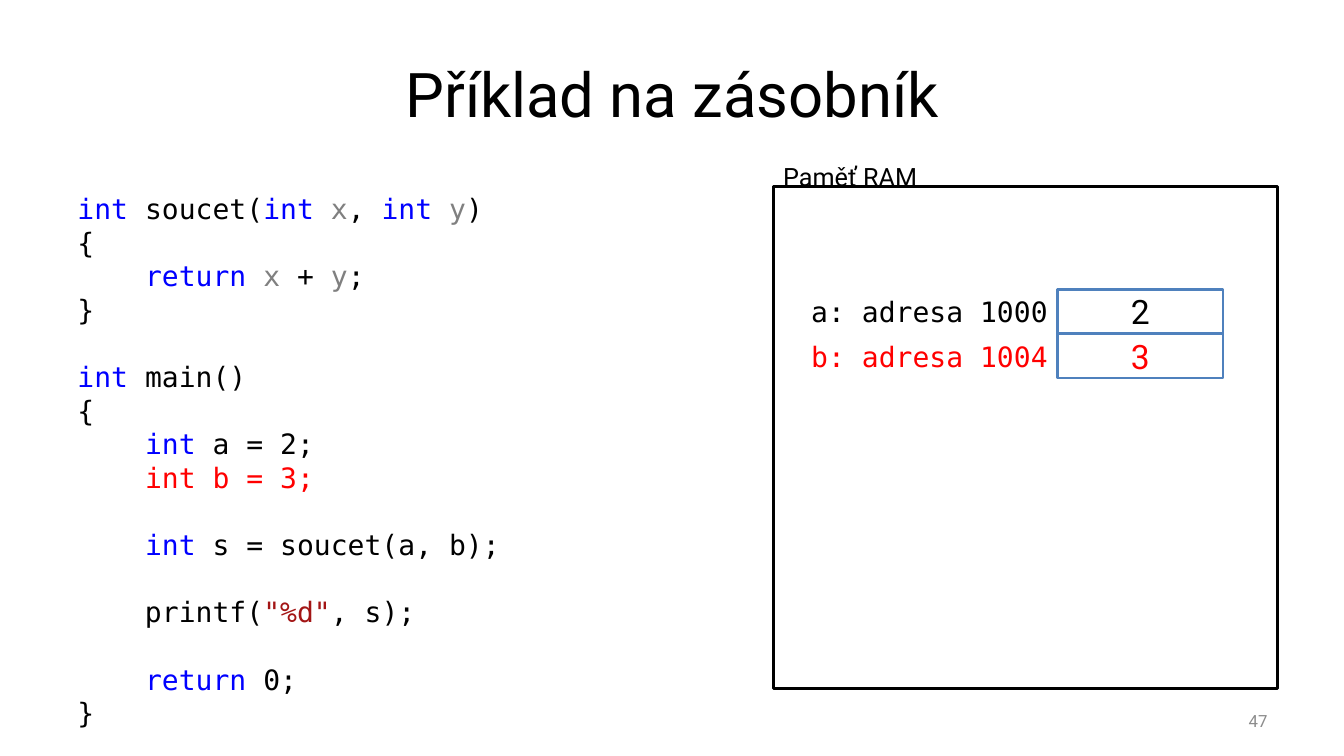
from dataclasses import dataclass

from pptx import Presentation
from pptx.dml.color import RGBColor
from pptx.enum.shapes import MSO_SHAPE
from pptx.enum.text import MSO_ANCHOR, PP_ALIGN
from pptx.shapes.autoshape import Shape
from pptx.slide import Slide
from pptx.text.text import Font
from pptx.util import Emu, Pt

EMU_PER_PX = 9144
SANS, MONO = "Roboto", "DejaVu Sans Mono"
BLACK, WHITE, RED, GREY = "000000", "FFFFFF", "FF0000", "8C8C8C"
KEYWORD, PARAMETER, STRING, CELL_BORDER = "0000FF", "808080", "A31515", "4F81BD"
CODE_SIZE, CODE_LINE = 20, 24


@dataclass(frozen=True)
class Box:
    left: int
    top: int
    width: int
    height: int

    def emu(self) -> tuple[Emu, ...]:
        edges = (self.left, self.top, self.width, self.height)
        return tuple(Emu(edge * EMU_PER_PX) for edge in edges)


@dataclass(frozen=True)
class Style:
    size: int
    face: str = SANS
    color: str = BLACK
    align: PP_ALIGN = PP_ALIGN.LEFT
    anchor: MSO_ANCHOR = MSO_ANCHOR.TOP


@dataclass(frozen=True)
class Token:
    text: str
    color: str = BLACK


@dataclass(frozen=True)
class Variable:
    label: str
    value: str
    color: str


INT, INT_SPACED = Token("int", KEYWORD), Token("int ", KEYWORD)
X, Y = Token("x", PARAMETER), Token("y", PARAMETER)
INDENT, OPEN, CLOSE = Token("    "), Token("{"), Token("}")

CODE = [
    [INT, Token(" soucet("), INT_SPACED, X, Token(", "), INT_SPACED, Y, Token(")")],
    [OPEN],
    [INDENT, Token("return ", KEYWORD), X, Token(" + "), Y, Token(";")],
    [CLOSE],
    [INT_SPACED, Token("main()")],
    [OPEN],
    [INDENT, INT, Token(" a = 2;")],
    [INDENT, Token("int b = 3;", RED)],
    [INDENT, INT, Token(" s = soucet(a, b);")],
    [INDENT, Token("printf("), Token('"%d"', STRING), Token(", s);")],
    [INDENT, Token("return", KEYWORD), Token(" 0;")],
    [CLOSE],
]
LINES_AFTER_GAP = {4, 8, 9, 10}

VARIABLES = [
    Variable("a: adresa 1000", "2", BLACK),
    Variable("b: adresa 1004", "3", RED),
]
STACK_TOP, CELL_HEIGHT = 287, 44


def paint(font: Font, color: str) -> None:
    font.color.rgb = RGBColor.from_string(color)


def write(holder: Shape, text: str, style: Style) -> None:
    frame = holder.text_frame
    frame.word_wrap = True
    frame.vertical_anchor = style.anchor
    line = frame.paragraphs[0]
    line.text = text
    line.alignment = style.align
    line.font.size = Pt(style.size)
    line.font.name = style.face
    paint(line.font, style.color)


def add_text(slide: Slide, box: Box, text: str, style: Style) -> None:
    write(slide.shapes.add_textbox(*box.emu()), text, style)


def add_frame(slide: Slide, box: Box, border: str) -> Shape:
    frame = slide.shapes.add_shape(MSO_SHAPE.RECTANGLE, *box.emu())
    frame.shadow.inherit = False
    frame.fill.solid()
    frame.fill.fore_color.rgb = RGBColor.from_string(WHITE)
    frame.line.color.rgb = RGBColor.from_string(border)
    frame.line.width = Pt(2)
    return frame


def add_title(slide: Slide, text: str) -> None:
    title = slide.shapes.title
    title.left, title.top, title.width, title.height = Box(67, 30, 1200, 125).emu()
    write(title, text, Style(44, align=PP_ALIGN.CENTER, anchor=MSO_ANCHOR.MIDDLE))


def add_variable(slide: Slide, variable: Variable, top: int) -> None:
    middle = MSO_ANCHOR.MIDDLE
    cell = add_frame(slide, Box(1049, top, 164, CELL_HEIGHT), CELL_BORDER)
    write(cell, variable.value, Style(24, SANS, variable.color, PP_ALIGN.CENTER, middle))
    label_style = Style(CODE_SIZE, MONO, variable.color, PP_ALIGN.RIGHT, middle)
    add_text(slide, Box(791, top, 258, CELL_HEIGHT), variable.label, label_style)


def add_code(slide: Slide, box: Box) -> None:
    frame = slide.shapes.add_textbox(*box.emu()).text_frame
    frame.word_wrap = True
    for number, tokens in enumerate(CODE):
        line = frame.add_paragraph() if number else frame.paragraphs[0]
        line.font.size = Pt(CODE_SIZE)
        line.font.name = MONO
        line.line_spacing = Pt(CODE_LINE)
        if number in LINES_AFTER_GAP:
            line.space_before = Pt(CODE_LINE)
        for token in tokens:
            run = line.add_run()
            run.text = token.text
            paint(run.font, token.color)


def main() -> None:
    deck = Presentation()
    deck.slide_width = Emu(1333 * EMU_PER_PX)
    deck.slide_height = Emu(750 * EMU_PER_PX)
    slide = deck.slides.add_slide(deck.slide_layouts[5])

    add_title(slide, "Příklad na zásobník")
    page_style = Style(12, SANS, GREY, PP_ALIGN.RIGHT, MSO_ANCHOR.MIDDLE)
    add_text(slide, Box(956, 695, 311, 40), "47", page_style)
    add_frame(slide, Box(767, 185, 500, 498), BLACK)
    add_text(slide, Box(767, 155, 186, 40), "Paměť RAM", Style(18))
    for row, variable in enumerate(VARIABLES):
        add_variable(slide, variable, STACK_TOP + row * CELL_HEIGHT)
    add_code(slide, Box(67, 185, 667, 549))

    deck.save("out.pptx")


if __name__ == "__main__":
    main()
